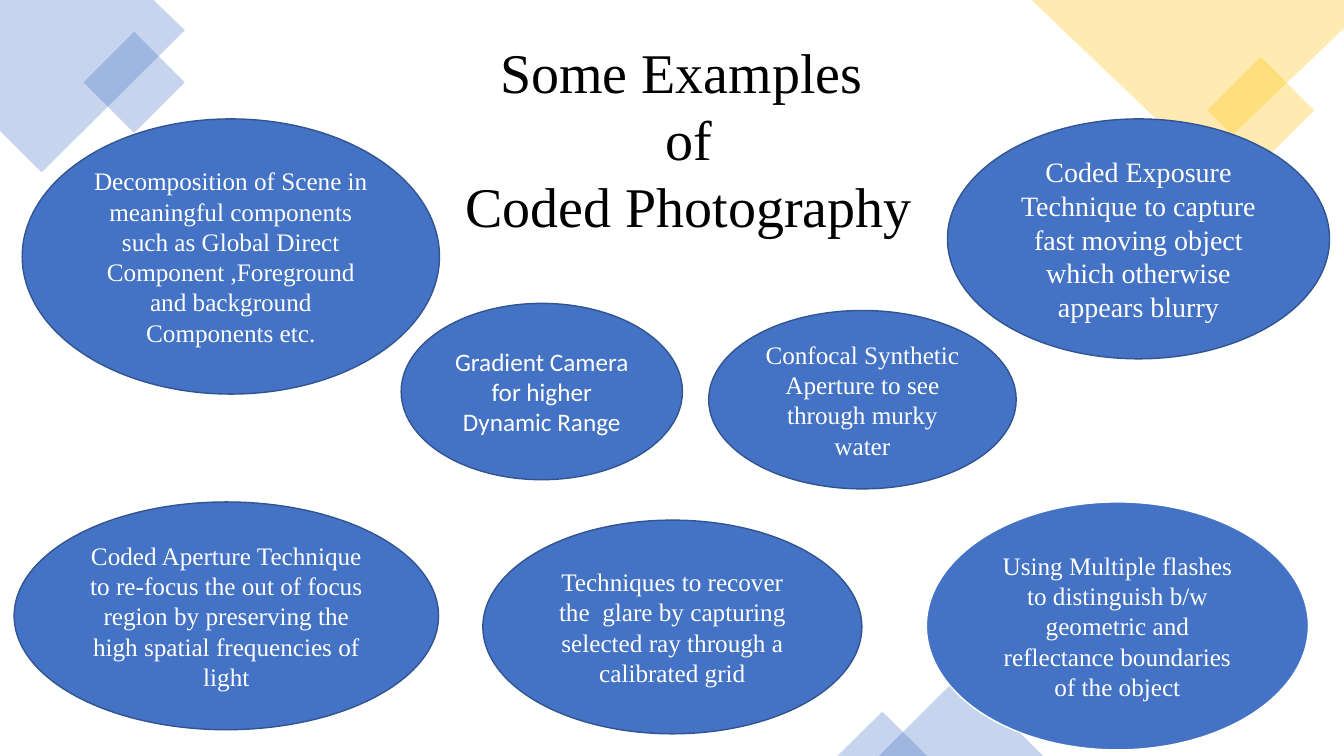
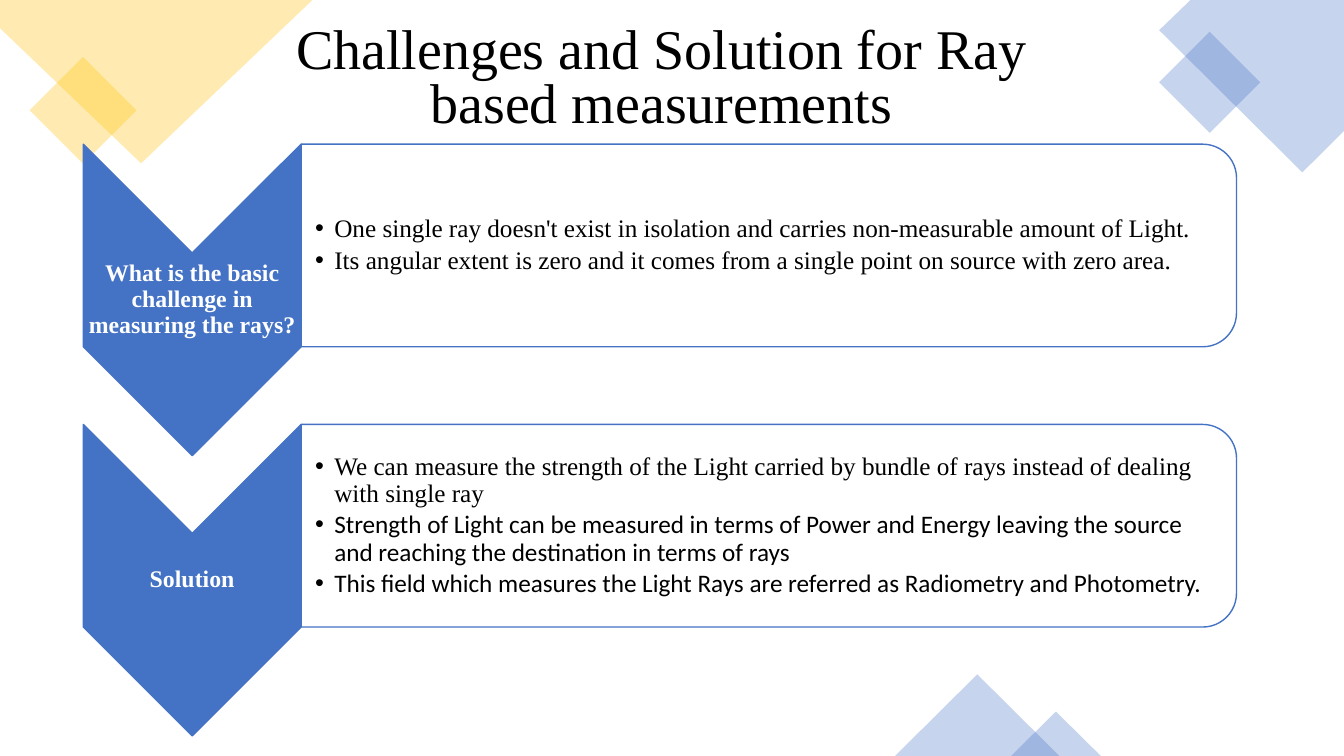
import pptx
import pptx.dml.color
import pptx.enum.shapes
import pptx.enum.text
import pptx.oxml
import pptx.oxml.ns
import pptx.util

RGBColor = pptx.dml.color.RGBColor
SHAPE = pptx.enum.shapes.MSO_SHAPE
ALIGN = pptx.enum.text.PP_ALIGN
ANCHOR = pptx.enum.text.MSO_ANCHOR

BLUE = RGBColor(0x44, 0x72, 0xC4)
DARK_BLUE = RGBColor(0x32, 0x54, 0x91)
GOLD = RGBColor(0xFF, 0xC0, 0x00)
WHITE = RGBColor(0xFF, 0xFF, 0xFF)
BLACK = RGBColor(0x00, 0x00, 0x00)

SERIF = "Times New Roman"
SANS = "Calibri"
TITLE_SIZE = 40
BODY_SIZE = 18
CAPTION_SIZE = 17

SLIDE_WIDTH = pptx.util.Inches(13.333)
SLIDE_HEIGHT = pptx.util.Inches(7.5)

# Every position is a percentage of the slide: (left, top, width, height)
EXAMPLES = [
    ((70.5, 15.73, 28.43, 31.73), 20, SERIF, DARK_BLUE,
     "Coded Exposure Technique to capture fast moving object which otherwise appears blurry"),
    ((35.93, 68.8, 28.2, 28.27), BODY_SIZE, SERIF, DARK_BLUE,
     "Techniques to recover the  glare by capturing selected ray through a calibrated grid"),
    ((52.73, 41.07, 22.88, 23.6), BODY_SIZE, SERIF, DARK_BLUE,
     "Confocal Synthetic Aperture to see through murky water"),
    ((68.93, 66.4, 28.43, 32.8), BODY_SIZE, SERIF, WHITE,
     "Using Multiple flashes to distinguish b/w geometric and reflectance boundaries of the object"),
    ((1.05, 66.4, 31.58, 30.13), BODY_SIZE, SERIF, DARK_BLUE,
     "Coded Aperture Technique to re-focus the out of focus region by preserving "
     "the high spatial frequencies of light"),
    ((1.65, 15.73, 31.05, 36.4), BODY_SIZE, SERIF, DARK_BLUE,
     "Decomposition of Scene in meaningful components such as Global Direct "
     "Component ,Foreground and background Components etc."),
    ((29.85, 40.13, 20.93, 23.33), BODY_SIZE, SANS, DARK_BLUE,
     "Gradient Camera for higher Dynamic Range"),
]

CHALLENGES = [
    ("What is the basic challenge in measuring the rays?", [
        ("One single ray doesn't exist in isolation and carries non-measurable amount of Light.", SERIF),
        ("Its angular extent is zero and it comes from a single point on source with zero area.", SERIF),
    ]),
    ("Solution", [
        ("We can measure the strength of the Light carried by bundle of rays "
         "instead of dealing with single ray", SERIF),
        ("Strength of Light can be measured in terms of Power and Energy leaving "
         "the source and reaching the destination in terms of rays", SANS),
        ("This field which measures the Light Rays are referred as Radiometry and Photometry.", SANS),
    ]),
]

# Corner decoration: gold at top left, blue at top right, blue at the bottom
CORNERS = [
    (GOLD, [(0, 0), (23.25, 0), (10.5, 21.6), (0, 3.73)]),
    (BLUE, [(88.58, 0), (100, 0), (100, 17.33), (96.9, 22.8), (86.25, 4)]),
]
DIAMONDS = [(GOLD, (2.21, 7.53, 7.95, 14.13)), (BLUE, (86.25, 4.2, 7.53, 13.39))]
TRIANGLES = [(66.6, 89.2, 12.23, 10.8), (75.23, 94.13, 6.68, 5.87)]
TRIANGLE_AXIS = 72.11

# Rows of the challenges page
ROW_LEFT, ROW_TOP, ROW_PITCH = 6.2, 19.07, 37.07
CHEVRON_WIDTH, CHEVRON_HEIGHT = 16.2, 41.2
PANEL_WIDTH, PANEL_HEIGHT = 69.6, 26.8
CAPTION_HEIGHT = 12.4


def across(share):
    return round(SLIDE_WIDTH * share / 100)


def down(share):
    return round(SLIDE_HEIGHT * share / 100)


def place(area):
    left, top, width, height = area
    return across(left), down(top), across(width), down(height)


def mirrored(area, axis=50):
    left, top, width, height = area
    return 2 * axis - left - width, top, width, height


def paint(shape, colour, opacity=100, line=None):
    shape.shadow.inherit = False
    shape.fill.solid()
    shape.fill.fore_color.rgb = colour
    if opacity < 100:
        tint = shape.fill._xPr.find(".//" + pptx.oxml.ns.qn("a:srgbClr"))
        alpha = pptx.oxml.parse_xml(
            f'<a:alpha {pptx.oxml.ns.nsdecls("a")} val="{opacity * 1000}"/>')
        tint.append(alpha)
    if line is None:
        shape.line.fill.background()
    else:
        shape.line.color.rgb = line
        shape.line.width = pptx.util.Pt(1)


def add_preset(page, kind, area, colour, opacity=100, line=None):
    shape = page.shapes.add_shape(kind, *place(area))
    paint(shape, colour, opacity, line)
    return shape


def add_turned(page, kind, area, colour, opacity=100):
    """Add a shape turned by a quarter so that it covers the area."""
    left, top, width, height = place(area)
    shape = page.shapes.add_shape(
        kind, left + (width - height) // 2, top + (height - width) // 2, height, width)
    shape.rotation = 90
    paint(shape, colour, opacity, BLUE)


def add_polygon(page, points, colour):
    corners = [(across(x), down(y)) for x, y in points]
    builder = page.shapes.build_freeform(*corners[0], scale=1.0)
    builder.add_line_segments(corners[1:], close=True)
    paint(builder.convert_to_shape(), colour, 30)


def add_box(page, area, anchor, margins=None):
    box = page.shapes.add_textbox(*place(area))
    frame = box.text_frame
    frame.word_wrap = True
    frame.vertical_anchor = anchor
    if margins:
        (frame.margin_left, frame.margin_top, frame.margin_right,
         frame.margin_bottom) = [pptx.util.Inches(margin) for margin in margins]
    return frame


def write(frame, texts, size, colour, align=ALIGN.CENTER, spacing=None,
          after=None, bold=False, bullet=False):
    """Fill a text frame with paragraphs given as (text, font name)."""
    for index, (text, font_name) in enumerate(texts):
        para = frame.paragraphs[0] if index == 0 else frame.add_paragraph()
        para.text = text
        para.alignment = align
        if spacing:
            para.line_spacing = spacing
        if after:
            para.space_after = pptx.util.Pt(after)
        if bullet:
            add_bullet(para)
        para.font.name = font_name
        para.font.size = pptx.util.Pt(size)
        para.font.bold = bold
        para.font.color.rgb = colour


def add_bullet(para):
    properties = para._p.get_or_add_pPr()
    indent = pptx.util.Inches(0.19)
    properties.set("marL", str(indent))
    properties.set("indent", str(-indent))
    namespace = pptx.oxml.ns.nsdecls("a")
    properties.append(pptx.oxml.parse_xml(f'<a:buFont {namespace} typeface="Arial"/>'))
    properties.append(pptx.oxml.parse_xml(f'<a:buChar {namespace} char="•"/>'))


def add_title(page, area, lines, anchor, spacing=None):
    frame = add_box(page, area, anchor)
    write(frame, [(line, SERIF) for line in lines], TITLE_SIZE, BLACK, spacing=spacing)


def add_decoration(page, flip=False):
    for colour, points in CORNERS:
        if flip:
            points = [(100 - x, y) for x, y in points]
        add_polygon(page, points, colour)
    for colour, area in DIAMONDS:
        add_preset(page, SHAPE.DIAMOND, mirrored(area) if flip else area, colour, 30)
    for area in TRIANGLES:
        area = mirrored(area, TRIANGLE_AXIS) if flip else area
        add_preset(page, SHAPE.ISOSCELES_TRIANGLE, area, BLUE, 30)


def add_example(page, area, size, font_name, line, text):
    ellipse = add_preset(page, SHAPE.OVAL, area, BLUE, line=line)
    ellipse.text_frame.word_wrap = True
    ellipse.text_frame.vertical_anchor = ANCHOR.MIDDLE
    write(ellipse.text_frame, [(text, font_name)], size, WHITE)


def add_challenge(page, top, caption, points):
    # Chevron with its caption
    add_turned(page, SHAPE.CHEVRON, (ROW_LEFT, top, CHEVRON_WIDTH, CHEVRON_HEIGHT), BLUE)
    caption_top = top + (CHEVRON_HEIGHT - CAPTION_HEIGHT) / 2
    frame = add_box(page, (ROW_LEFT, caption_top, CHEVRON_WIDTH, CAPTION_HEIGHT),
                    ANCHOR.MIDDLE, [0.01] * 4)
    write(frame, [(caption, SERIF)], CAPTION_SIZE, WHITE, spacing=0.9, bold=True)

    # Panel with its points
    panel_left = ROW_LEFT + CHEVRON_WIDTH
    add_turned(page, SHAPE.ROUND_2_SAME_RECTANGLE,
               (panel_left, top, PANEL_WIDTH, PANEL_HEIGHT), WHITE, 90)
    frame = add_box(page, (panel_left, top + 1.3, PANEL_WIDTH - 0.7, PANEL_HEIGHT - 2.6),
                    ANCHOR.MIDDLE, [0.14, 0.01, 0.01, 0.01])
    write(frame, points, BODY_SIZE, BLACK, ALIGN.LEFT, spacing=0.9, after=3, bullet=True)


def add_page(deck, flip=False):
    page = deck.slides.add_slide(deck.slide_layouts[6])
    add_decoration(page, flip)
    return page


def main():
    deck = pptx.Presentation()
    deck.slide_width = SLIDE_WIDTH
    deck.slide_height = SLIDE_HEIGHT

    # Examples
    page = add_page(deck, flip=True)
    add_title(page, (8.1, 4.27, 85.2, 28.27),
              ["Some Examples", " of", " Coded Photography"], ANCHOR.TOP)
    for example in EXAMPLES:
        add_example(page, *example)

    # Challenges
    page = add_page(deck)
    add_title(page, (20.93, 2.4, 56.55, 16.53),
              ["Challenges and Solution for Ray based measurements"], ANCHOR.MIDDLE, 0.8)
    for row, (caption, points) in enumerate(CHALLENGES):
        add_challenge(page, ROW_TOP + row * ROW_PITCH, caption, points)

    deck.save("out.pptx")


if __name__ == "__main__":
    main()
